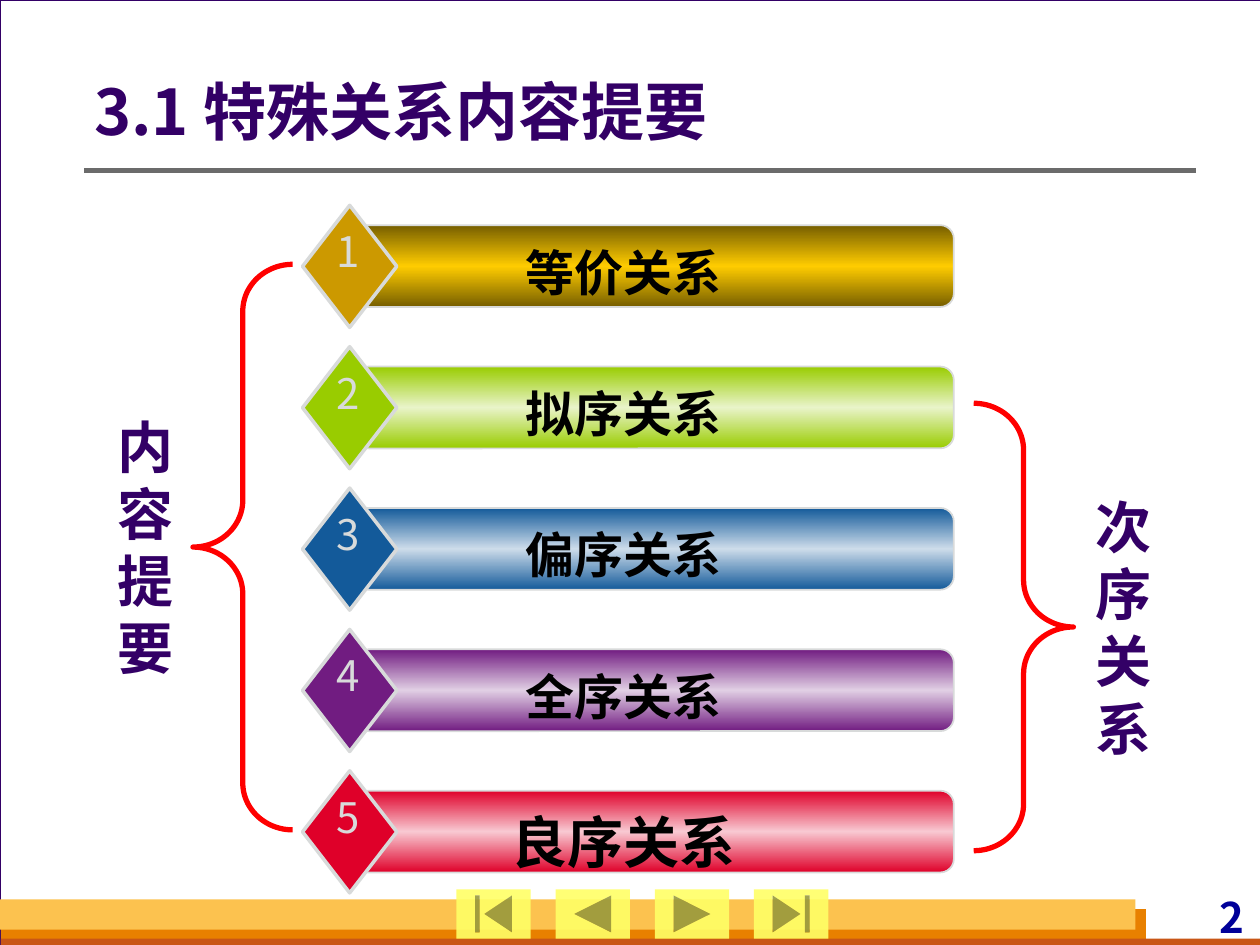
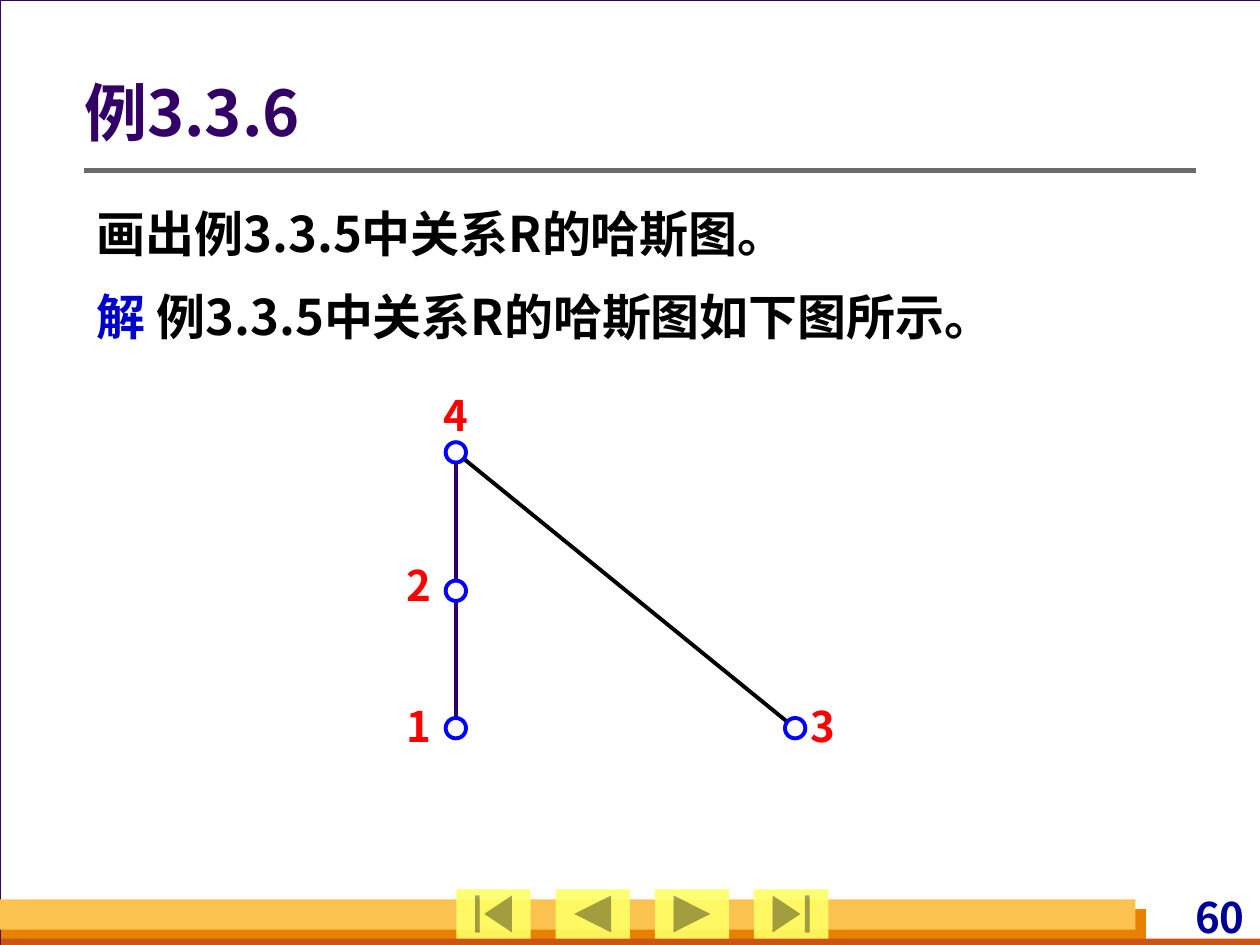
from copy import deepcopy

from lxml.etree import SubElement
from pptx import Presentation
from pptx.dml.color import RGBColor
from pptx.enum.shapes import MSO_CONNECTOR, MSO_SHAPE
from pptx.enum.text import MSO_ANCHOR, MSO_AUTO_SIZE, PP_ALIGN
from pptx.oxml.ns import qn
from pptx.util import Cm, Pt

FONT = "Noto Sans CJK SC"

# Shared colours
WHITE = RGBColor(0xFF, 0xFF, 0xFF)
BLACK = RGBColor(0x00, 0x00, 0x00)
RED = RGBColor(0xFF, 0x00, 0x00)
SILVER = RGBColor(0xD8, 0xDA, 0xDA)
INDIGO = RGBColor(0x33, 0x00, 0x66)
NAVY = RGBColor(0x00, 0x00, 0x99)
NODE_BLUE = RGBColor(0x00, 0x00, 0xFF)
ANSWER_BLUE = RGBColor(0x00, 0x00, 0xCC)
RULE_GREY = RGBColor(0x6B, 0x6B, 0x6B)
ORANGE = RGBColor(0xE8, 0x80, 0x00)
RUST = RGBColor(0xC9, 0x56, 0x16)
APRICOT = RGBColor(0xFC, 0xC2, 0x4F)
BUTTON_YELLOW = RGBColor(0xFF, 0xFF, 0x66)

# Topic bar colours
GOLD = RGBColor(0xCC, 0x99, 0x00)
DARK_GOLD = RGBColor(0x76, 0x5E, 0x00)
BRIGHT_GOLD = RGBColor(0xFF, 0xCC, 0x00)
GREEN = RGBColor(0x99, 0xCC, 0x00)
PALE_GREEN = RGBColor(0xE9, 0xF4, 0xC9)
BLUE = RGBColor(0x13, 0x5A, 0x9A)
PALE_BLUE = RGBColor(0xCD, 0xDC, 0xEA)
PURPLE = RGBColor(0x71, 0x1C, 0x81)
PALE_PURPLE = RGBColor(0xE1, 0xCF, 0xE4)
CRIMSON = RGBColor(0xDF, 0x00, 0x29)
PINK = RGBColor(0xF8, 0xC9, 0xD2)

# Name, text size, diamond colour, bar edge colour, bar middle colour
TOPICS = [
    ("等价关系", 28, GOLD, DARK_GOLD, BRIGHT_GOLD),
    ("拟序关系", 28, GREEN, GREEN, PALE_GREEN),
    ("偏序关系", 28, BLUE, BLUE, PALE_BLUE),
    ("全序关系", 28, PURPLE, PURPLE, PALE_PURPLE),
    ("良序关系", 32, CRIMSON, CRIMSON, PINK),
]
FIRST_TOPIC_CENTRE = 5.37
TOPIC_PITCH = 2.85

# Hasse diagram: node centre, then label offset from it
HASSE_NODES = {
    "1": ((9.19, 14.68), (-0.99, -0.56)),
    "2": ((9.19, 11.91), (-0.99, -0.64)),
    "3": ((16.03, 14.68), (0.3, -0.56)),
    "4": ((9.19, 9.12), (-0.25, -1.27)),
}
HASSE_EDGES = [("4", "3", BLACK), ("4", "2", INDIGO), ("2", "1", INDIGO)]
NODE_SIZE = 0.41

NAVIGATION = [
    MSO_SHAPE.ACTION_BUTTON_BEGINNING,
    MSO_SHAPE.ACTION_BUTTON_BACK_OR_PREVIOUS,
    MSO_SHAPE.ACTION_BUTTON_FORWARD_OR_NEXT,
    MSO_SHAPE.ACTION_BUTTON_END,
]


def add_text(page, place, paragraphs, *, size, color, bold=True,
             align=PP_ALIGN.LEFT, anchor=MSO_ANCHOR.TOP,
             insets=(0.25, 0.13, 0.25, 0.13), wrap=True, grow=True,
             line_spacing=None, space_before=0):
    """Each paragraph is a list of (text, color) spans; a plain string is one span."""
    box = page.shapes.add_textbox(*map(Cm, place))
    frame = box.text_frame
    frame.word_wrap = wrap
    frame.auto_size = MSO_AUTO_SIZE.SHAPE_TO_FIT_TEXT if grow else MSO_AUTO_SIZE.NONE
    frame.vertical_anchor = anchor
    (frame.margin_left, frame.margin_top,
     frame.margin_right, frame.margin_bottom) = map(Cm, insets)
    if isinstance(paragraphs, str):
        paragraphs = [[(paragraphs, color)]]
    for index, spans in enumerate(paragraphs):
        para = frame.add_paragraph() if index else frame.paragraphs[0]
        para.alignment = align
        if line_spacing:
            para.line_spacing = line_spacing
        if index:
            para.space_before = Pt(space_before)
        for text, span_color in spans:
            span = para.add_run()
            span.text = text
            span.font.size = Pt(size)
            span.font.bold = bold
            span.font.color.rgb = span_color
            span.font.name = FONT
            SubElement(span.font._element, qn("a:ea"), typeface=FONT)
    return box


def add_figure(page, kind, place, *, fill=None, line=None, width=1):
    shape = page.shapes.add_shape(kind, *map(Cm, place))
    shape.shadow.inherit = False
    if fill is None:
        shape.fill.background()
    else:
        shape.fill.solid()
        shape.fill.fore_color.rgb = fill
    if line is None:
        shape.line.fill.background()
    else:
        shape.line.color.rgb = line
        shape.line.width = Pt(width)
    return shape


def add_line(page, start, end, color, width):
    line = page.shapes.add_connector(
        MSO_CONNECTOR.STRAIGHT, *map(Cm, (*start, *end)))
    line.line.color.rgb = color
    line.line.width = Pt(width)
    SubElement(line._element.spPr, qn("a:effectLst"))


def set_band_gradient(shape, edge, middle):
    """Vertical gradient from edge to middle and back to edge."""
    shape.fill.gradient()
    shape.fill.gradient_angle = 90
    stop_list = shape._element.spPr.find(qn("a:gradFill")).find(qn("a:gsLst"))
    stop_list.insert(1, deepcopy(stop_list[0]))
    for stop, position, color in zip(
            shape.fill.gradient_stops, (0, 0.5, 1), (edge, middle, edge)):
        stop.position = position
        stop.color.rgb = color


def add_navigation_button(page, kind, left):
    button = add_figure(page, kind, (left, 17.93, 1.5, 0.99), fill=BUTTON_YELLOW)
    color = button._element.spPr.find(qn("a:solidFill"))[0]
    SubElement(color, qn("a:alpha"), val="90000")


def add_page(deck, title, title_place, number):
    """Blank page with the shared frame, footer bands, buttons and title."""
    page = deck.slides.add_slide(deck.slide_layouts[6])
    page.background.fill.solid()
    page.background.fill.fore_color.rgb = SILVER
    add_figure(page, MSO_SHAPE.RECTANGLE, (0, 0, 25.42, 19.05),
               fill=WHITE, line=INDIGO, width=0.75)
    # Footer
    for place, color in [((0.02, 18.33, 23.08, 0.72), ORANGE),
                         ((0.02, 18.92, 25.4, 0.2), RUST),
                         ((0, 18.13, 22.89, 0.61), APRICOT)]:
        add_figure(page, MSO_SHAPE.RECTANGLE, place, fill=color)
    add_text(page, (21.51, 17.98, 3.68, 1.02), number, size=24, color=NAVY,
             align=PP_ALIGN.RIGHT, insets=(0.1, 0, 0.1, 0))
    for index, kind in enumerate(NAVIGATION):
        add_navigation_button(page, kind, 9.2 + 2 * index)
    # Title and rule
    add_line(page, (1.7, 3.43), (24.1, 3.43), RULE_GREY, 3)
    add_text(page, title_place, title, size=36, color=INDIGO,
             anchor=MSO_ANCHOR.MIDDLE, insets=(0, 0.13, 0.25, 0.13),
             line_spacing=0.9)
    return page


def add_topic(page, number, centre, name, size, diamond, edge, middle):
    bar = add_figure(page, MSO_SHAPE.ROUNDED_RECTANGLE,
                     (7.16, centre - 0.83, 12.07, 1.65), line=SILVER)
    set_band_gradient(bar, edge, middle)
    add_figure(page, MSO_SHAPE.DIAMOND, (6.1, centre - 1.23, 1.9, 2.46),
               fill=diamond, line=SILVER, width=2)
    add_text(page, (7.8, centre - 0.62, 9.53, 1.63 if size > 28 else 1.45), name,
             size=size, color=BLACK, align=PP_ALIGN.CENTER)
    add_text(page, (6.5, centre - 0.95, 1.02, 1.27), str(number), size=24,
             color=SILVER, bold=False, align=PP_ALIGN.CENTER, wrap=False)


def add_brace_label(page, kind, brace_place, text, text_place):
    add_text(page, text_place, text, size=32, color=INDIGO)
    brace = add_figure(page, kind, brace_place, line=RED, width=3)
    brace.adjustments[0] = 0.47


def add_hasse_diagram(page):
    for upper, lower, color in HASSE_EDGES:
        add_line(page, HASSE_NODES[upper][0], HASSE_NODES[lower][0], color, 2.25)
    for label, ((x, y), (shift_x, shift_y)) in HASSE_NODES.items():
        add_figure(page, MSO_SHAPE.OVAL,
                   (x - NODE_SIZE / 2, y - NODE_SIZE / 2, NODE_SIZE, NODE_SIZE),
                   fill=WHITE, line=NODE_BLUE, width=2.25)
        add_text(page, (x + shift_x, y + shift_y, 0.61, 1.02), label, size=24,
                 color=RED, align=PP_ALIGN.JUSTIFY, insets=(0, 0, 0, 0))


def build_summary(deck):
    page = add_page(deck, "3.1 特殊关系内容提要", (1.9, 1.5, 22.05, 1.63), "2")
    for index, topic in enumerate(TOPICS):
        add_topic(page, index + 1, FIRST_TOPIC_CENTRE + TOPIC_PITCH * index, *topic)
    add_brace_label(page, MSO_SHAPE.LEFT_BRACE, (3.89, 5.33, 2.01, 11.4),
                    "内容提要", (2.11, 8.18, 1.6, 5.69))
    add_brace_label(page, MSO_SHAPE.RIGHT_BRACE, (19.63, 8.13, 2.01, 9.02),
                    "次序关系", (21.84, 9.8, 1.6, 5.69))


def build_example(deck):
    page = add_page(deck, "例3.3.6", (1.7, 1.52, 22.4, 1.63), "60")
    add_text(page, (1.7, 3.73, 22.4, 3.35),
             [[("画出例3.3.5中关系R的哈斯图。", BLACK)],
              [("解", ANSWER_BLUE), (" 例3.3.5中关系R的哈斯图如下图所示。", BLACK)]],
             size=28, color=BLACK, align=PP_ALIGN.JUSTIFY, grow=False,
             line_spacing=1.2, space_before=7)
    add_hasse_diagram(page)


def main():
    deck = Presentation()
    deck.slide_width, deck.slide_height = Cm(25.4), Cm(19.05)
    build_summary(deck)
    build_example(deck)
    deck.save("out.pptx")


if __name__ == "__main__":
    main()
